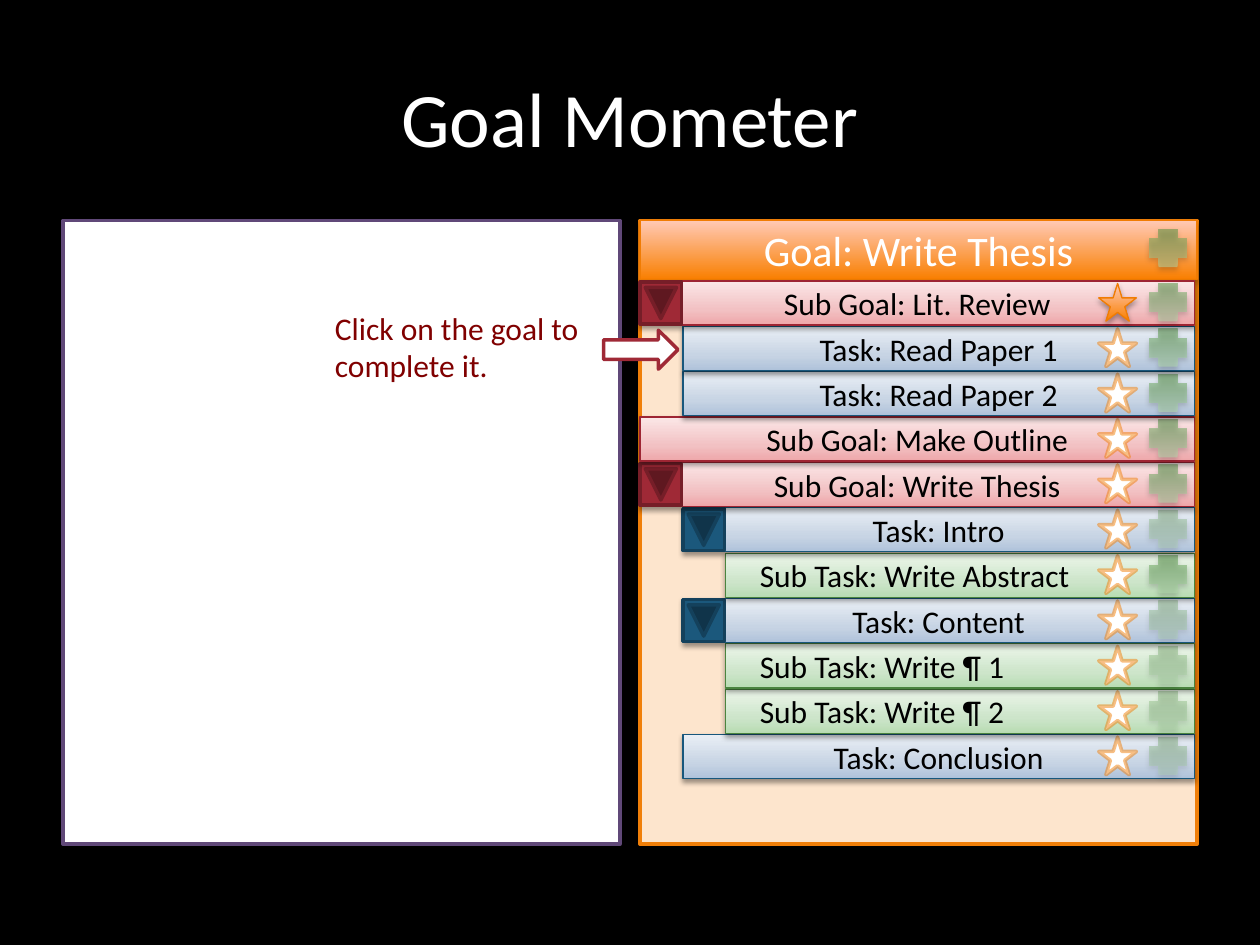
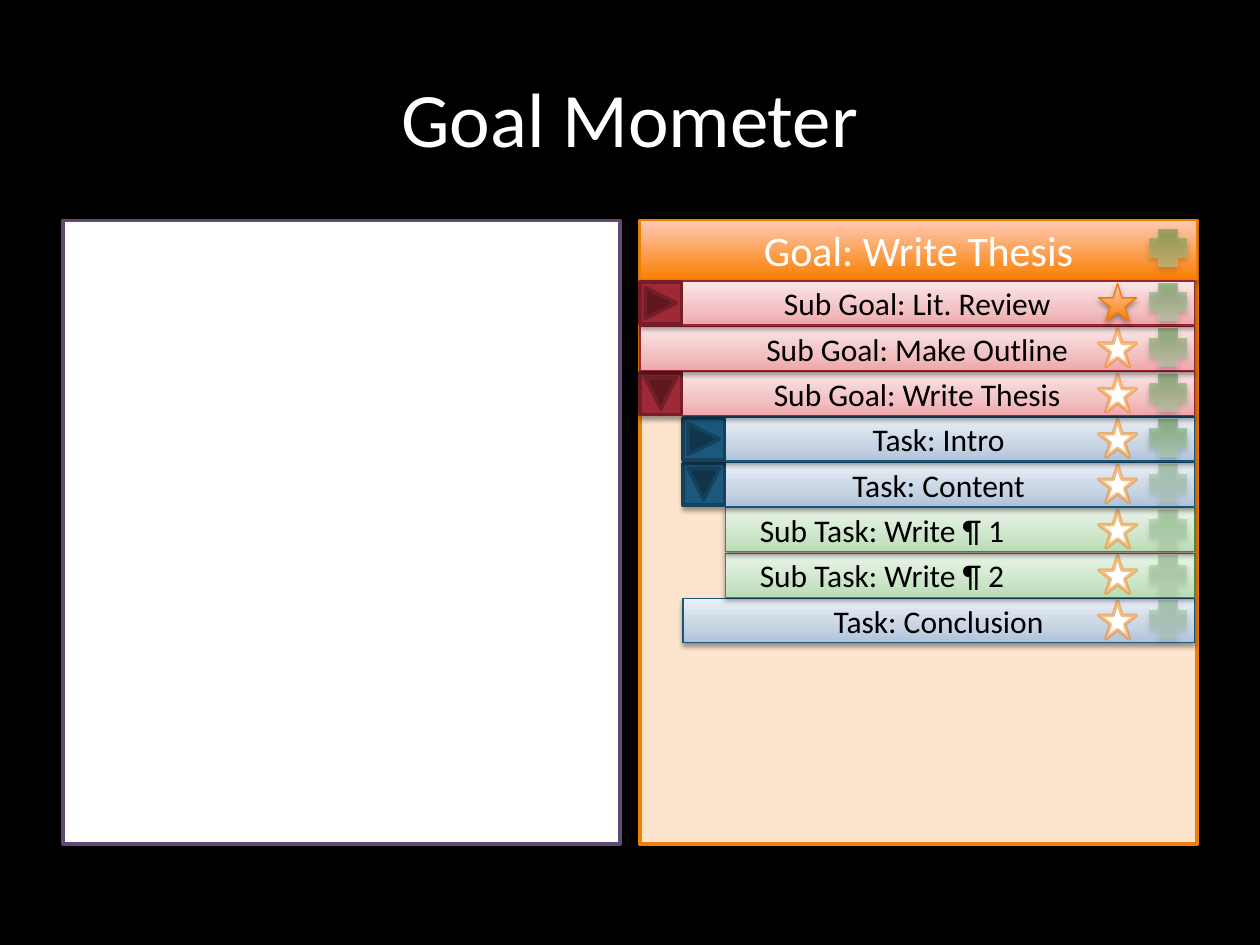
from lxml import etree
from pptx import Presentation
from pptx.dml.color import RGBColor
from pptx.enum.shapes import MSO_SHAPE
from pptx.enum.text import MSO_ANCHOR, PP_ALIGN
from pptx.oxml.ns import qn
from pptx.util import Inches, Pt

RECTANGLE, PLUS, STAR = MSO_SHAPE.RECTANGLE, MSO_SHAPE.CROSS, MSO_SHAPE.STAR_5_POINT
ARROW, BUTTON = MSO_SHAPE.RIGHT_ARROW, MSO_SHAPE.ACTION_BUTTON_FORWARD_OR_NEXT
LEFT, CENTER, MIDDLE = PP_ALIGN.LEFT, PP_ALIGN.CENTER, MSO_ANCHOR.MIDDLE

# Content: (level, text, plus opacity, toggle state)
TITLE = "Goal Mometer"
GOAL = "Goal: Write Thesis"
HINT = "Click on the goal to complete it."
DONE = {"Sub Goal: Lit. Review"}
OPEN, CLOSED = "open", "closed"
EXPANDED_GOALS = [
    (0, "Sub Goal: Lit. Review", 50, OPEN),
    (1, "Task: Read Paper 1", 50, None),
    (1, "Task: Read Paper 2", 50, None),
    (0, "Sub Goal: Make Outline", 50, None),
    (0, "Sub Goal: Write Thesis", 50, OPEN),
    (1, "Task: Intro", 30, OPEN),
    (2, "Sub Task: Write Abstract", 50, None),
    (1, "Task: Content", 30, OPEN),
    (2, "Sub Task: Write ¶ 1", 30, None),
    (2, "Sub Task: Write ¶ 2", 30, None),
    (1, "Task: Conclusion", 30, None),
]
COLLAPSED_GOALS = [
    (0, "Sub Goal: Lit. Review", 50, CLOSED),
    (0, "Sub Goal: Make Outline", 50, None),
    (0, "Sub Goal: Write Thesis", 50, OPEN),
    (1, "Task: Intro", 50, CLOSED),
    (1, "Task: Content", 30, OPEN),
    (2, "Sub Task: Write ¶ 1", 30, None),
    (2, "Sub Task: Write ¶ 2", 30, None),
    (1, "Task: Conclusion", 30, None),
]

# Colours
BLACK, WHITE = RGBColor(0, 0, 0), RGBColor(255, 255, 255)
MAROON = RGBColor(0x80, 0x00, 0x00)
PURPLE = RGBColor(0x60, 0x48, 0x78)
PEACH = RGBColor(0xFD, 0xE5, 0xCD)
ORANGE = RGBColor(0xF0, 0x7F, 0x09)
ORANGE_EDGE = RGBColor(0xF0, 0x7C, 0x03)
RED, DARK_RED = RGBColor(0x9F, 0x29, 0x36), RGBColor(0x76, 0x1E, 0x28)
BLUE, DARK_BLUE = RGBColor(0x1B, 0x58, 0x7C), RGBColor(0x14, 0x41, 0x5C)
RED_EDGE = RGBColor(0x9E, 0x25, 0x33)
BLUE_EDGE = RGBColor(0x18, 0x57, 0x7C)
GREEN_EDGE = RGBColor(0x4B, 0x84, 0x3F)

# Gradients run from the bottom edge to the top
ORANGE_GRADIENT = [(0, "F97F00"), (100, "FFC9B5")]
PLUS_GRADIENT = [(0, "B5DFAF"), (100, "488F38")]
RED_GRADIENT = [(0, "EEA6A9"), (35, "F2C1C3"), (100, "FBE7E7")]
BLUE_GRADIENT = [(0, "AFC2DA"), (35, "C7D4E4"), (100, "EAEFF5")]
GREEN_GRADIENT = [(0, "B8DCB3"), (35, "CDE5CA"), (100, "ECF6EA")]

# Style of each level: gradient, edge, button colours, alignment, left inset
LEVELS = [
    (RED_GRADIENT, RED_EDGE, (RED, DARK_RED), CENTER, 0.1),
    (BLUE_GRADIENT, BLUE_EDGE, (BLUE, DARK_BLUE), CENTER, 0.1),
    (GREEN_GRADIENT, GREEN_EDGE, None, LEFT, 0.27),
]

# Shadows: opacity, blur, distance
STRONG_SHADOW = (35, 3.1, 1.8)
ROW_SHADOW = (38, 3.1, 1.6)

# Grid in inches
PANEL_TOP, PANEL_WIDTH, PANEL_HEIGHT = 1.75, 4.42, 4.95
DRAWING_LEFT, LIST_LEFT, LIST_RIGHT = 0.5, 5.08, 9.48
HEADER_HEIGHT = 0.47
FIRST_ROW, ROW_STEP, ROW_HEIGHT = 2.23, 0.36, 0.35
INDENT, BUTTON_SIZE = 0.34, 0.33
STAR_LEFT, PLUS_LEFT, ICON_SIZE = 8.72, 9.12, 0.3


def add_opacity(color_element, percent):
    etree.SubElement(color_element, qn("a:alpha"), val=str(percent * 1000))


def set_gradient(shape, stops, opacity):
    shape.fill.gradient()
    shape.fill.gradient_angle = 90
    stop_list = shape._element.spPr.find(".//" + qn("a:gsLst"))
    for old_stop in list(stop_list):
        stop_list.remove(old_stop)
    for position, color in stops:
        stop = etree.SubElement(stop_list, qn("a:gs"), pos=str(position * 1000))
        color_element = etree.SubElement(stop, qn("a:srgbClr"), val=color)
        if opacity < 100:
            add_opacity(color_element, opacity)


def set_shadow(shape, shadow):
    shape.shadow.inherit = False
    if shadow:
        opacity, blur, distance = shadow
        effects = shape._element.spPr.find(qn("a:effectLst"))
        outer = etree.SubElement(
            effects, qn("a:outerShdw"), blurRad=str(Pt(blur)),
            dist=str(Pt(distance)), dir="5400000", rotWithShape="0")
        add_opacity(etree.SubElement(outer, qn("a:srgbClr"), val="000000"), opacity)


def add_part(slide, kind, box, fill, edge=None, weight=2.0, shadow=None, opacity=100):
    shape = slide.shapes.add_shape(kind, *map(Inches, box))
    if isinstance(fill, list):
        set_gradient(shape, fill, opacity)
    else:
        shape.fill.solid()
        shape.fill.fore_color.rgb = fill
    if edge is None:
        shape.line.fill.background()
    else:
        shape.line.color.rgb = edge
        shape.line.width = Pt(weight)
    set_shadow(shape, shadow)
    return shape


def write(shape, text, size, color, alignment=CENTER, **frame_format):
    frame = shape.text_frame
    frame.text = text
    for name, value in {"word_wrap": True, **frame_format}.items():
        setattr(frame, name, value)
    paragraph = frame.paragraphs[0]
    paragraph.alignment = alignment
    for name, value in {"name": "Calibri", "size": Pt(size)}.items():
        setattr(paragraph.font, name, value)
    paragraph.font.color.rgb = color


def add_plus(slide, top, opacity):
    add_part(slide, PLUS, (PLUS_LEFT, top, ICON_SIZE, ICON_SIZE), PLUS_GRADIENT,
             shadow=STRONG_SHADOW, opacity=opacity)


def add_star(slide, top, done):
    box = (STAR_LEFT, top, ICON_SIZE, ICON_SIZE)
    if done:
        add_part(slide, STAR, box, ORANGE_GRADIENT, ORANGE_EDGE, 0.75, STRONG_SHADOW)
    else:
        star = add_part(slide, STAR, box, WHITE, ORANGE)
        add_opacity(star._element.spPr.find(qn("a:ln")).find(".//" + qn("a:srgbClr")), 50)


def add_row(slide, index, level, text, opacity, toggle):
    gradient, edge, button_colors, alignment, inset = LEVELS[level]
    top = FIRST_ROW + index * ROW_STEP
    left = LIST_LEFT + level * INDENT
    bar = add_part(slide, RECTANGLE, (left, top, LIST_RIGHT - left, ROW_HEIGHT),
                   gradient, edge, 0.75, ROW_SHADOW)
    write(bar, text, 18, BLACK, alignment, vertical_anchor=MIDDLE,
          margin_left=Inches(inset))
    add_plus(slide, top + 0.02, opacity)
    add_star(slide, top + 0.02, text in DONE)
    if toggle:
        button = add_part(slide, BUTTON, (left, top + 0.01, BUTTON_SIZE, BUTTON_SIZE),
                          *button_colors)
        button.rotation = 90 if toggle == OPEN else 0


def add_goal_slide(presentation, rows):
    slide = presentation.slides.add_slide(presentation.slide_layouts[5])
    # Title
    title = slide.shapes.title
    title.left, title.top, title.width, title.height = map(Inches, (0.5, 0.3, 9, 1.25))
    write(title, TITLE, 44, WHITE, vertical_anchor=MIDDLE)
    # Panels and goal header
    for left, fill, edge in [(DRAWING_LEFT, WHITE, PURPLE), (LIST_LEFT, PEACH, ORANGE)]:
        add_part(slide, RECTANGLE, (left, PANEL_TOP, PANEL_WIDTH, PANEL_HEIGHT), fill, edge)
    header = add_part(slide, RECTANGLE, (LIST_LEFT, PANEL_TOP, PANEL_WIDTH, HEADER_HEIGHT),
                      ORANGE_GRADIENT, ORANGE_EDGE, 0.75, STRONG_SHADOW)
    write(header, GOAL, 24, WHITE, vertical_anchor=MIDDLE)
    add_plus(slide, PANEL_TOP + 0.07, 50)
    # Rows from the bottom up, so that each shadow falls on the row below
    for index, row in reversed(list(enumerate(rows))):
        add_row(slide, index, *row)
    return slide


def add_hint(slide):
    box = slide.shapes.add_textbox(*map(Inches, (2.56, 2.4, 2.4, 0.71)))
    write(box, HINT, 18, MAROON, LEFT)
    add_part(slide, ARROW, (4.79, 2.62, 0.59, 0.31), WHITE, RED)


def main():
    presentation = Presentation()
    presentation.slide_width, presentation.slide_height = Inches(10), Inches(7.5)
    background = presentation.slide_master.background.fill
    background.solid()
    background.fore_color.rgb = BLACK
    add_hint(add_goal_slide(presentation, EXPANDED_GOALS))
    add_goal_slide(presentation, COLLAPSED_GOALS)
    presentation.save("out.pptx")


if __name__ == "__main__":
    main()
